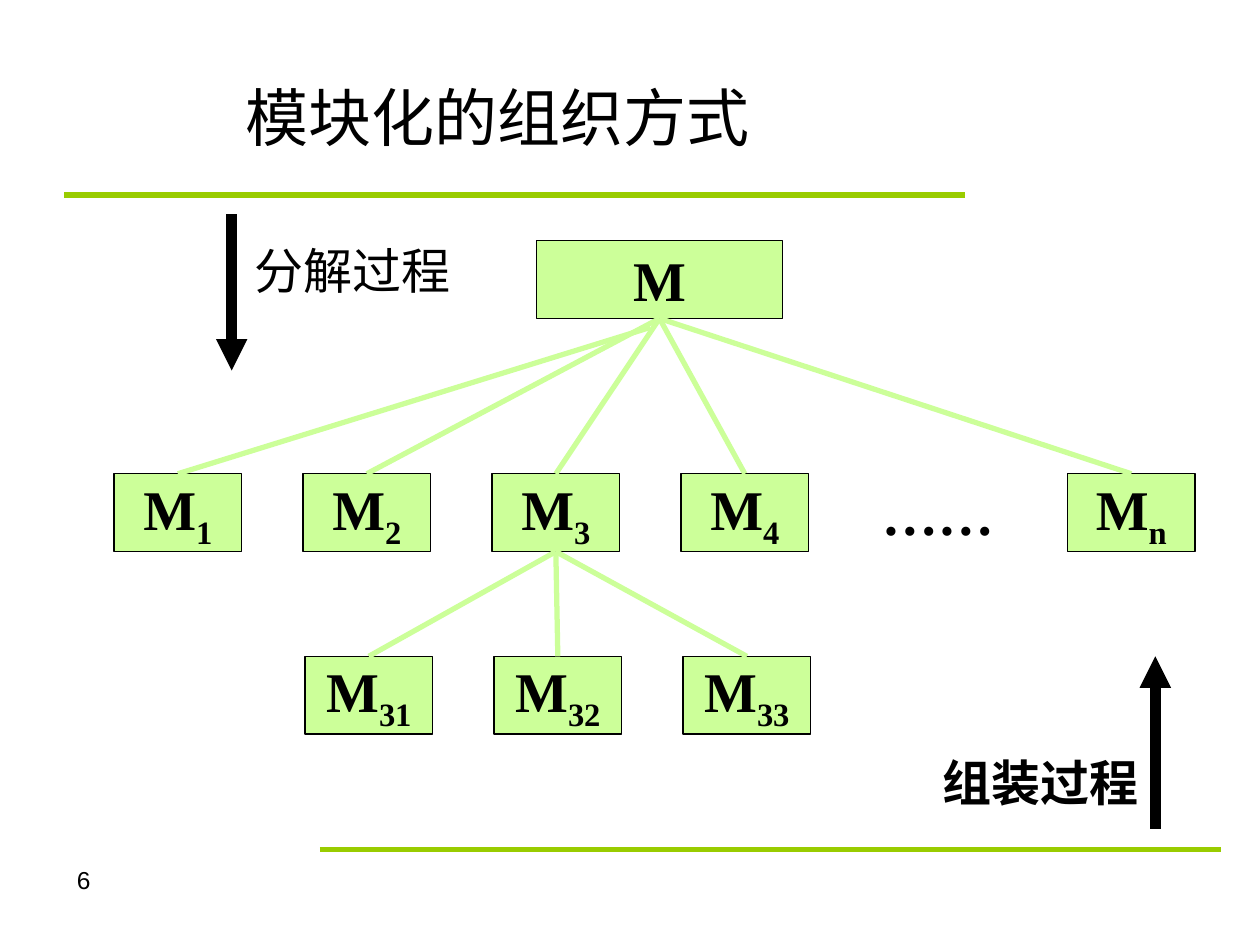
from lxml.etree import SubElement
from pptx import Presentation
from pptx.dml.color import RGBColor as RGB
from pptx.enum.shapes import MSO_CONNECTOR as Connector, MSO_SHAPE as Shape
from pptx.enum.text import MSO_ANCHOR as Anchor, PP_ALIGN as Align
from pptx.oxml.ns import qn
from pptx.util import Cm, Pt

COLORS = {"rule": "99CC00", "module": "CCFF99", "ink": "000000"}
BOX_W, BOX_H = 2.57, 1.57
PITCH = 3.81
ROOT_LEFT, ROOT_TOP, ROOT_W = 10.82, 4.85, 4.95
MIDDLE_TOP, BOTTOM_TOP = 9.55, 13.23

deck = Presentation()
deck.slide_width, deck.slide_height = Cm(25.4), Cm(19.05)
page = deck.slides.add_slide(deck.slide_layouts[5])


def write(shape, parts, size, font="Arial", bold=False, wrap=False,
          align=Align.LEFT, anchor=Anchor.TOP):
    """Write a text and an optional subscript into a shape."""
    frame = shape.text_frame
    frame.word_wrap = wrap
    frame.vertical_anchor = anchor
    para = frame.paragraphs[0]
    para.alignment = align
    for index, part in enumerate(parts):
        span = para.add_run()
        span.text = part
        for name, value in {"size": Pt(size), "name": font, "bold": bold}.items():
            setattr(span.font, name, value)
        span.font.color.rgb = RGB.from_string(COLORS["ink"])
        if index:
            span.font._element.set("baseline", "-25000")


def draw_line(start, end, color, width=3, arrow=False):
    """Draw a straight line, with an arrowhead at its end if asked."""
    line = page.shapes.add_connector(
        Connector.STRAIGHT, *(Cm(value) for value in (*start, *end)))
    line.line.color.rgb = RGB.from_string(COLORS[color])
    line.line.width = Pt(width)
    if arrow:
        SubElement(line.line._get_or_add_ln(), qn("a:tailEnd"), type="triangle")
    SubElement(line._element.spPr, qn("a:effectLst"))


# Rules above and below the diagram
draw_line((1.3, 3.93), (19.46, 3.93), "rule")
draw_line((6.45, 17.12), (24.61, 17.12), "rule")

# Title
title = page.shapes.title
frame_values = {"left": 4.7, "top": 0.76, "width": 19.43, "height": 3.18}
for name, value in frame_values.items():
    setattr(title, name, Cm(value))
write(title, ["模块化的组织方式"], 36, wrap=True, anchor=Anchor.MIDDLE)

# Module boxes: left, top, width, label parts
modules = [(ROOT_LEFT, ROOT_TOP, ROOT_W, ["M"])]
modules += [(2.3 + PITCH * i, MIDDLE_TOP, BOX_W, ["M", str(i + 1)]) for i in range(4)]
modules += [(21.52, MIDDLE_TOP, BOX_W, ["M", "n"])]
modules += [(6.15 + PITCH * i, BOTTOM_TOP, BOX_W, ["M", f"3{i + 1}"]) for i in range(3)]
for left, top, width, label in modules:
    box = page.shapes.add_shape(
        Shape.RECTANGLE, Cm(left), Cm(top), Cm(width), Cm(BOX_H))
    box.shadow.inherit = False
    box.fill.solid()
    box.fill.fore_color.rgb = RGB.from_string(COLORS["module"])
    box.line.color.rgb = RGB.from_string(COLORS["ink"])
    box.line.width = Pt(0.75)
    write(box, label, 32, "Times New Roman", True,
          align=Align.CENTER, anchor=Anchor.MIDDLE)

# Branches from M and from M3 to their parts
root_foot = (ROOT_LEFT + ROOT_W / 2, ROOT_TOP + BOX_H)
m3_foot = (modules[3][0] + BOX_W / 2, MIDDLE_TOP + BOX_H)
for index, (left, top, width, label) in enumerate(modules[1:]):
    start = root_foot if top == MIDDLE_TOP else m3_foot
    if index == 0:
        start = (13.11, 6.6)
    draw_line(start, (left + width / 2, top), "module")

# Process arrows
draw_line((4.67, 4.32), (4.67, 7.47), "ink", 6, arrow=True)
draw_line((23.29, 16.71), (23.29, 13.23), "ink", 6, arrow=True)

# Free text: position, size, wording and font
labels = [
    ((17.53, 9.55, 2.77, 1.63), "……", 32, "Times New Roman", True),
    ((4.88, 4.72, 4.45, 1.45), "分解过程", 28, "Arial", False),
    ((18.75, 15.04, 4.45, 1.45), "组装过程", 28, "Arial", True),
    ((1.3, 17.32, 3.61, 1.32), "6", 14, "Arial", False),
]
for place, text, size, font, bold in labels:
    box = page.shapes.add_textbox(*(Cm(value) for value in place))
    write(box, [text], size, font, bold)

deck.save("out.pptx")
